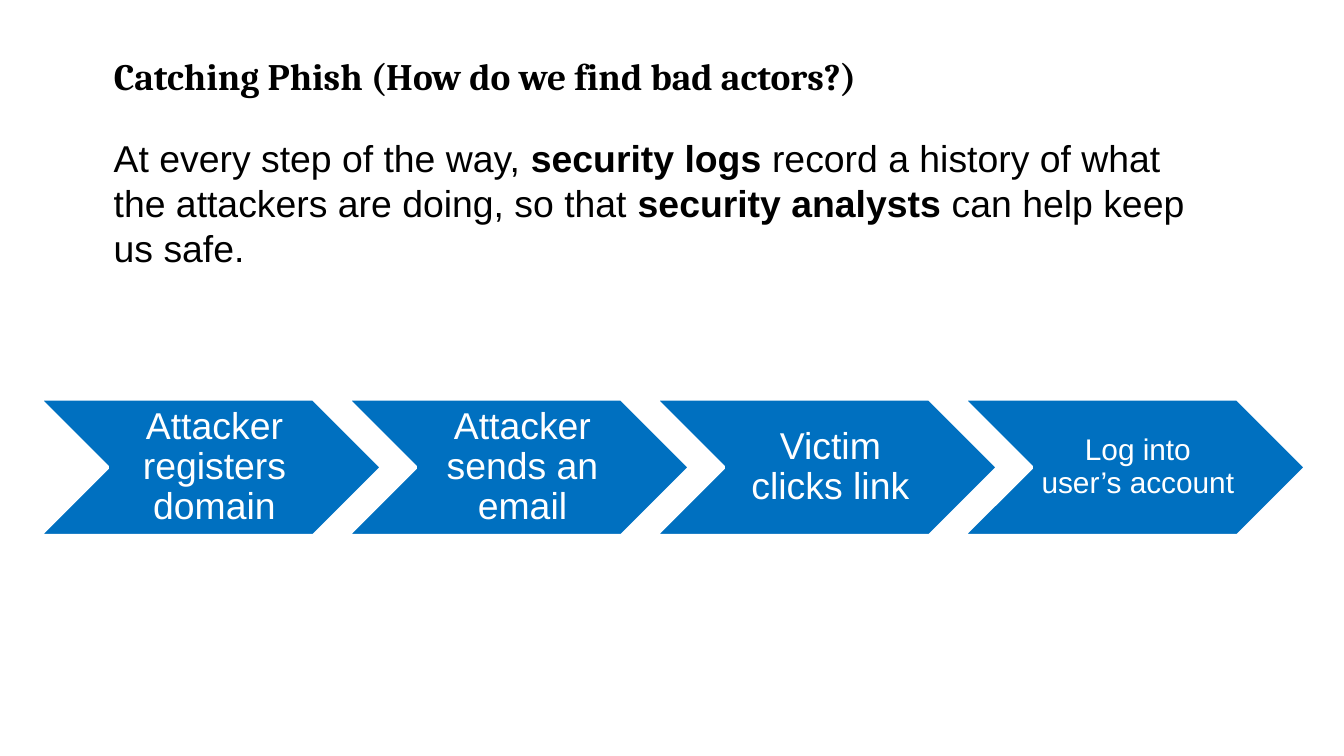
from dataclasses import dataclass

from pptx import Presentation
from pptx.dml.color import RGBColor
from pptx.enum import shapes, text
from pptx.util import Cm, Pt

BLACK = RGBColor(0x00, 0x00, 0x00)
WHITE = RGBColor(0xFF, 0xFF, 0xFF)
BLUE = RGBColor(0x00, 0x70, 0xC0)

STEP_LEFT, STEP_TOP, STEP_PITCH = 0.74, 7.54, 5.82
STEP_WIDTH, STEP_HEIGHT = 6.48, 2.59


@dataclass
class Step:
    label: str
    size: int = 20
    left_inset: float = 0.23
    inset: float = 0.08


STEPS = [
    Step("Attacker registers domain"),
    Step("Attacker sends an email"),
    Step("Victim clicks link"),
    Step("Log into user’s account", 16, 0.18, 0.05),
]

INTRO = [
    ("At every step of the way, ", False),
    ("security logs", True),
    (" record a history of what the attackers are doing, so that ", False),
    ("security analysts", True),
    (" can help keep us safe.", False),
]


def apply(target, values: dict) -> None:
    for name, value in values.items():
        setattr(target, name, value)


def add_run(p, label: str, color: RGBColor, size: int = 20,
            bold: bool = False, name: str = "Arial") -> None:
    r = p.add_run()
    r.text = label
    apply(r.font, {"name": name, "size": Pt(size), "bold": bold})
    r.font.color.rgb = color


def add_title(s) -> None:
    sp = s.shapes.title
    apply(sp, {"left": Cm(1.9), "top": Cm(0.81),
               "width": Cm(18.92), "height": Cm(1.22)})
    tf = sp.text_frame
    apply(tf, {"margin_left": Cm(0.25), "margin_right": Cm(0.25),
               "margin_top": Cm(0.25), "margin_bottom": Cm(0.25),
               "vertical_anchor": text.MSO_ANCHOR.MIDDLE,
               "auto_size": text.MSO_AUTO_SIZE.NONE})
    p = tf.paragraphs[0]
    p.alignment = text.PP_ALIGN.LEFT
    add_run(p, "Catching Phish (How do we find bad actors?)", BLACK,
            bold=True, name="Cambria")


def add_intro(s) -> None:
    sp = s.shapes.add_textbox(Cm(1.9), Cm(2.44), Cm(21.26), Cm(2.82))
    tf = sp.text_frame
    apply(tf, {"word_wrap": True,
               "auto_size": text.MSO_AUTO_SIZE.SHAPE_TO_FIT_TEXT})
    for label, bold in INTRO:
        add_run(tf.paragraphs[0], label, BLACK, bold=bold)


def add_step(s, index: int, step: Step) -> None:
    sp = s.shapes.add_shape(
        shapes.MSO_SHAPE.CHEVRON, Cm(STEP_LEFT + index * STEP_PITCH),
        Cm(STEP_TOP), Cm(STEP_WIDTH), Cm(STEP_HEIGHT))
    sp.shadow.inherit = False
    sp.fill.solid()
    sp.fill.fore_color.rgb = BLUE
    sp.line.color.rgb = WHITE
    sp.line.width = Pt(2)
    tf = sp.text_frame
    apply(tf, {"word_wrap": True, "margin_left": Cm(step.left_inset),
               "margin_right": Cm(step.inset), "margin_top": Cm(step.inset),
               "margin_bottom": Cm(step.inset),
               "vertical_anchor": text.MSO_ANCHOR.MIDDLE})
    p = tf.paragraphs[0]
    apply(p, {"alignment": text.PP_ALIGN.CENTER, "line_spacing": 0.9})
    add_run(p, step.label, WHITE, step.size)


def main() -> None:
    prs = Presentation()
    apply(prs, {"slide_width": Cm(25.4), "slide_height": Cm(14.29)})
    s = prs.slides.add_slide(prs.slide_layouts[5])
    add_title(s)
    add_intro(s)
    for index, step in enumerate(STEPS):
        add_step(s, index, step)
    prs.save("out.pptx")


if __name__ == "__main__":
    main()
